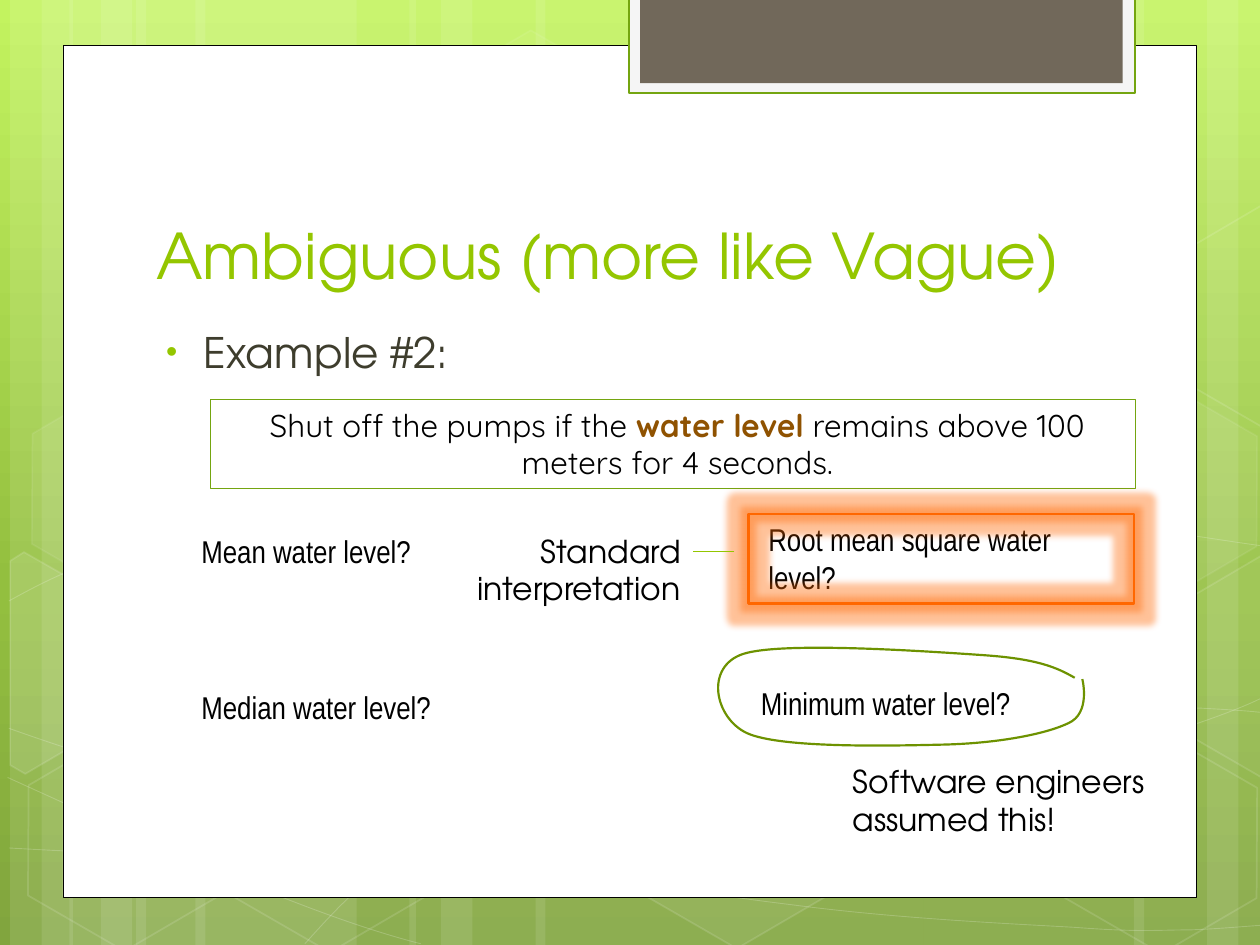
from copy import deepcopy
from math import cos, radians, sin

from lxml.etree import SubElement
from pptx import Presentation
from pptx.dml.color import RGBColor
from pptx.enum.shapes import MSO_CONNECTOR, MSO_SHAPE
from pptx.enum.text import MSO_ANCHOR, MSO_AUTO_SIZE, PP_ALIGN
from pptx.oxml.ns import qn
from pptx.util import Pt

PX = 9144  # one px is a hundredth of an inch
TILT = 30
COLORS = {
    "white": "FFFFFF", "black": "000000", "tab": "F5F5F5", "taupe": "71685A",
    "border": "74A510", "lime": "94C600", "ink": "3E3D2D", "brown": "8F5201",
    "orange": "FF6700", "olive": "6D9200", "top": "C3F35F", "middle": "93BF3F", "bottom": "81A53E",
}
BACKGROUND = [(0, "top"), (0.62, "middle"), (1, "bottom")]
# left, width of the full-height strips
STRIPS = [(108, 175), (8, 50), (33, 83), (155, 175), (55, 50), (80, 83),
          (733, 175), (958, 50), (900, 83), (425, 308), (325, 50), (350, 83)]
# Bezier curves: a start point, then three points for each segment
WAVES = [
    [(7, 673), (61, 676), (115, 679), (190, 678), (265, 677), (358, 675), (458, 665),
     (558, 655), (700, 636), (792, 617), (883, 598), (977, 568), (1007, 551)],
    [(7, 477), (36, 461), (65, 446), (121, 431), (178, 416), (259, 394), (347, 387),
     (436, 380), (544, 379), (654, 387), (764, 395), (947, 426), (1007, 434)],
    [(6, 617), (127, 672), (247, 727), (334, 749)],
    [(7, 578), (38, 589), (70, 600), (128, 616), (186, 631), (273, 656), (357, 673),
     (440, 690), (545, 708), (628, 718), (711, 729), (800, 733), (853, 736),
     (905, 740), (919, 738), (945, 738), (971, 737), (989, 735), (1007, 734)],
    [(242, 749), (260, 729), (278, 709), (302, 691), (326, 673), (360, 653), (388, 639),
     (416, 625), (433, 619), (470, 609), (506, 599), (573, 585), (608, 578),
     (644, 571), (649, 571), (680, 569), (711, 566), (760, 563), (794, 562),
     (829, 561), (886, 562), (886, 562), (886, 562), (953, 562), (953, 562),
     (971, 563), (988, 564), (997, 565), (1006, 566), (1003, 565), (1006, 566)],
]
LOOP = [(853, 538), (839, 530), (824, 523), (780, 520), (736, 517), (621, 509), (590, 519),
        (559, 529), (567, 570), (593, 582), (620, 594), (706, 592), (749, 591),
        (791, 590), (829, 583), (848, 574), (866, 566), (859, 539), (859, 539)]
# left, top, fill opacity, line opacity
HEXAGONS = [(334, 36, 4, 8), (497, 589, 6, 12), (11, 591, 0, 12), (14, 312, 7, 8),
            (174, 592, 0, 12), (753, 453, 10, 12), (834, 593, 0, 12), (834, 314, 7, 8)]
# hexagons cut by the slide edge: fill opacity, centre of rotation, corners
CUT_HEXAGONS = [
    (10, (36, 535), [(8, 445), (19, 438), (96, 482), (95, 570), (20, 614), (8, 607)]),
    (4, (985, 520), [(926, 485), (1001, 441), (1009, 446), (1009, 613), (1002, 617), (926, 573)]),
    (0, (985, 241), [(926, 207), (1001, 163), (1010, 168), (1009, 335), (1002, 339), (926, 295)]),
]
PANELS = [
    ((50, 36, 900, 676), "white", "black", 0.5),
    ((499, -2, 402, 76), "tab", "border", 1.25),
    ((508, -2, 383, 68), "taupe", None, 0),
]
TITLE = {"size": Pt(36), "name": "TeX Gyre Adventor", "color": "lime"}
BODY = TITLE | {"size": Pt(24), "color": "ink"}
NOTE = TITLE | {"size": Pt(18), "color": "black"}
OPTION = NOTE | {"name": "Arial Narrow"}
QUOTE = NOTE | {"name": "Quicksand"}
KEYWORD = QUOTE | {"color": "brown", "bold": True}
REQUIREMENT = [("Shut off the pumps if the ", QUOTE), ("water level ", KEYWORD),
               ("remains above 100 meters for 4 seconds.", QUOTE)]
LABELS = [
    ((150, 417, 283, 40), "Mean water level?", OPTION, PP_ALIGN.LEFT),
    ((150, 541, 283, 40), "Median water level?", OPTION, PP_ALIGN.LEFT),
    ((600, 408, 283, 71), "Root mean square water level?", OPTION, PP_ALIGN.LEFT),
    ((594, 538, 283, 40), "Minimum water level?", OPTION, PP_ALIGN.LEFT),
    ((667, 600, 258, 71), "Software engineers assumed this!", NOTE, PP_ALIGN.LEFT),
    ((358, 417, 192, 71), "Standard interpretation", NOTE, PP_ALIGN.RIGHT),
]


def rgb(name):
    return RGBColor.from_string(COLORS[name])


def emu(values):
    return [round(value * PX) for value in values]


def paint(shape, fill=None, line=None, width=1, fill_alpha=100, line_alpha=100):
    shape.shadow.inherit = False
    for target, color, alpha, route in (
        (shape.fill, fill, fill_alpha, "a:solidFill/a:srgbClr"),
        (shape.line.fill, line, line_alpha, "a:ln/a:solidFill/a:srgbClr"),
    ):
        if color is None or alpha == 0:
            target.background()
            continue
        target.solid()
        target.fore_color.rgb = rgb(color)
        if alpha < 100:
            node = shape._element.spPr.xpath(route)[0]
            SubElement(node, qn("a:alpha"), val=str(alpha * 1000))
    if line:
        shape.line.width = Pt(width)
    return shape


def add_preset(place, kind=MSO_SHAPE.RECTANGLE, **look):
    return paint(page.shapes.add_shape(kind, *emu(place)), **look)


def add_outline(points, close, **look):
    start, *rest = [emu(point) for point in points]
    builder = page.shapes.build_freeform(*start, scale=1.0)
    builder.add_line_segments(rest, close=close)
    return paint(builder.convert_to_shape(), **look)


def add_curve(points, **look):
    """Size a freeform by points on the curve, then give it the Bezier segments."""
    segments = [points[i:i + 4] for i in range(0, len(points) - 1, 3)]
    samples = [points[0]]
    for segment in segments:
        for t in (step / 12 for step in range(1, 13)):
            weights = ((1 - t) ** 3, 3 * t * (1 - t) ** 2, 3 * t * t * (1 - t), t ** 3)
            samples.append([sum(w * value for w, value in zip(weights, axis)) for axis in zip(*segment)])
    shape = add_outline(samples, False, **look)
    outline = shape._element.spPr.find(".//" + qn("a:pathLst"))[0]
    for piece in outline[1:]:
        outline.remove(piece)
    for start, *ends in segments:
        straight = ends[0] == start and ends[1] == ends[2]
        piece = SubElement(outline, qn("a:lnTo" if straight else "a:cubicBezTo"))
        for x, y in map(emu, ends[2:] if straight else ends):
            SubElement(piece, qn("a:pt"), x=str(x - shape.left), y=str(y - shape.top))


def turn_back(point, centre):
    """Undo the tilt of a point about a centre."""
    dx, dy = point[0] - centre[0], point[1] - centre[1]
    c, s = cos(radians(TILT)), sin(radians(TILT))
    return centre[0] + dx * c + dy * s, centre[1] - dx * s + dy * c


def write(box, spans, align=PP_ALIGN.LEFT, anchor=MSO_ANCHOR.TOP, fit=MSO_AUTO_SIZE.SHAPE_TO_FIT_TEXT):
    frame = box.text_frame
    frame.word_wrap, frame.vertical_anchor, frame.auto_size = True, anchor, fit
    para = frame.paragraphs[0]
    para.alignment = align
    for text, style in spans:
        span = para.add_run()
        span.text = text
        span.font.color.rgb = rgb(style["color"])
        for key in style.keys() - {"color"}:
            setattr(span.font, key, style[key])
    return para


deck = Presentation()
deck.slide_width, deck.slide_height = emu((1000, 750))
page = deck.slides.add_slide(deck.slide_layouts[6])

backdrop = page.background.fill
backdrop.gradient()
backdrop.gradient_angle = 270
stops = page._element.find(".//" + qn("a:gsLst"))
stops.append(deepcopy(stops[-1]))
for stop, (position, color) in zip(backdrop.gradient_stops, BACKGROUND):
    stop.position, stop.color.rgb = position, rgb(color)
for left, width in STRIPS:
    add_preset((left, 0, width, 750), fill="white", fill_alpha=10)
for wave in WAVES:
    add_curve(wave, line="white", width=0.5, line_alpha=20)
for left, top, fill_alpha, line_alpha in HEXAGONS:
    hexagon = add_preset((left, top, 175, 152), MSO_SHAPE.HEXAGON, fill="white", line="white",
                         fill_alpha=fill_alpha, line_alpha=line_alpha)
    hexagon.adjustments[0], hexagon.rotation = 0.285, TILT
for fill_alpha, centre, corners in CUT_HEXAGONS:
    add_outline([turn_back(corner, centre) for corner in corners], True, fill="white",
                line="white", fill_alpha=fill_alpha, line_alpha=12).rotation = TILT
for place, fill, line, width in PANELS:
    add_preset(place, fill=fill, line=line, width=width)

title = page.shapes.add_textbox(*emu((114, 112, 768, 125)))
write(title, [("Ambiguous (more like Vague)", TITLE)], anchor=MSO_ANCHOR.BOTTOM, fit=MSO_AUTO_SIZE.NONE)
body = page.shapes.add_textbox(*emu((114, 254, 741, 384)))
para = write(body, [("Example #2:", BODY)], fit=MSO_AUTO_SIZE.NONE)
para.space_before = Pt(4.8)
bullet = para._p.get_or_add_pPr()
bullet.set("marL", str(38 * PX))
bullet.set("indent", str(-30 * PX))
SubElement(SubElement(bullet, qn("a:buClr")), qn("a:srgbClr"), val=COLORS["lime"])
for tag, values in (("a:buSzPct", {"val": "76000"}), ("a:buFont", {"typeface": "Arial"}),
                    ("a:buChar", {"char": "•"})):
    SubElement(bullet, qn(tag), values)

requirement = add_preset((167, 317, 734, 71), line="border", width=0.75)
write(requirement, REQUIREMENT, PP_ALIGN.CENTER)._p.get_or_add_pPr().set("marL", str(7 * PX))
for place, text, style, align in LABELS:
    write(page.shapes.add_textbox(*emu(place)), [(text, style)], align)
add_curve(LOOP, line="olive", width=1.25)
highlight = add_preset((594, 408, 306, 71), line="orange", width=1.25)
glow = SubElement(highlight._element.spPr.find(qn("a:effectLst")), qn("a:glow"), rad=str(11 * PX))
SubElement(SubElement(glow, qn("a:srgbClr"), val=COLORS["orange"]), qn("a:alpha"), val="40000")
link = page.shapes.add_connector(MSO_CONNECTOR.ELBOW, *emu((583, 438, 550, 438)))
link.line.color.rgb, link.line.width = rgb("lime"), Pt(0.75)
SubElement(link._element.spPr, qn("a:effectLst"))
deck.save("out.pptx")
